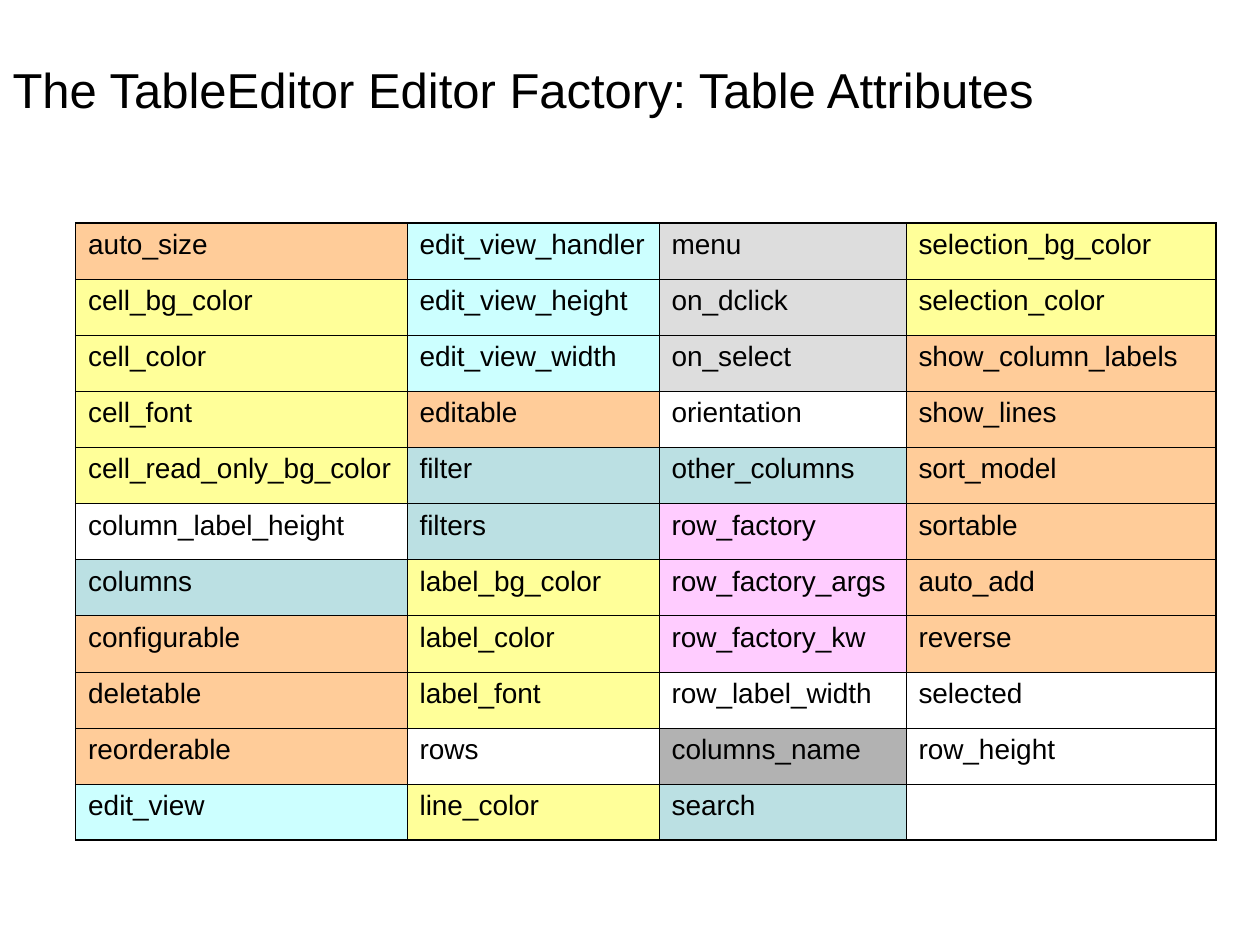
from dataclasses import dataclass

from lxml.etree import SubElement
from pptx import Presentation
from pptx.dml.color import RGBColor as RGB
from pptx.enum.text import MSO_ANCHOR as Anchor, PP_ALIGN as Align
from pptx.oxml.ns import qn
from pptx.util import Inches, Pt


@dataclass(frozen=True)
class Theme:
    font: str = "Arial"
    ink: str = "000000"
    title_size: int = 28
    cell_size: int = 16
    outer_line: float = 1.08
    inner_line: float = 0.45


THEME = Theme()
FLAG, COLOR, VIEW, EVENT = "FFCC99", "FFFF99", "CCFFFF", "DDDDDD"
COLUMN, FACTORY, NAME, WHITE, PLAIN = "BBE0E3", "FFCCFF", "B2B2B2", "FFFFFF", None

# Each column: its width, then runs of attributes that share a fill.
COLUMNS = [
    (2.63, [
        (FLAG, "auto_size"),
        (COLOR, "cell_bg_color cell_color cell_font cell_read_only_bg_color"),
        (PLAIN, "column_label_height"),
        (COLUMN, "columns"),
        (FLAG, "configurable deletable reorderable"),
        (VIEW, "edit_view"),
    ]),
    (2.00, [
        (VIEW, "edit_view_handler edit_view_height edit_view_width"),
        (FLAG, "editable"),
        (COLUMN, "filter filters"),
        (COLOR, "label_bg_color label_color label_font"),
        (WHITE, "rows"),
        (COLOR, "line_color"),
    ]),
    (1.96, [
        (EVENT, "menu on_dclick on_select"),
        (PLAIN, "orientation"),
        (COLUMN, "other_columns"),
        (FACTORY, "row_factory row_factory_args row_factory_kw"),
        (PLAIN, "row_label_width"),
        (NAME, "columns_name"),
        (COLUMN, "search"),
    ]),
    (2.46, [
        (COLOR, "selection_bg_color selection_color"),
        (FLAG, "show_column_labels show_lines sort_model sortable auto_add reverse"),
        (PLAIN, "selected row_height"),
    ]),
]
ROW_COUNT = 11
TABLE_HEIGHT = 4.9


def style_font(para, size):
    para.font.name = THEME.font
    para.font.size = Pt(size)
    para.font.color.rgb = RGB.from_string(THEME.ink)


def draw_borders(cell, outer_sides):
    """Rule all four sides, thicker on those at the table's edge."""
    for side in "LRTB":
        width = THEME.outer_line if side in outer_sides else THEME.inner_line
        line = SubElement(cell._tc.get_or_add_tcPr(), qn(f"a:ln{side}"), w=str(Pt(width)))
        SubElement(SubElement(line, qn("a:solidFill")), qn("a:srgbClr"), val=THEME.ink)


deck = Presentation()
deck.slide_width, deck.slide_height = Inches(10), Inches(7.5)
page = deck.slides.add_slide(deck.slide_layouts.get_by_name("Title Only"))

title = page.shapes.title
title.left, title.top = Inches(0), Inches(0.08)
title.width, title.height = Inches(9), Inches(1.25)
title.text_frame.text = "The TableEditor Editor Factory: Table Attributes"
title.text_frame.vertical_anchor = Anchor.MIDDLE
heading = title.text_frame.paragraphs[0]
heading.alignment = Align.LEFT
style_font(heading, THEME.title_size)

table_width = sum(width for width, _ in COLUMNS)
table = page.shapes.add_table(
    ROW_COUNT, len(COLUMNS), Inches(0.6), Inches(1.77),
    Inches(table_width), Inches(TABLE_HEIGHT),
).table
table.first_row = table.horz_banding = False
for row in table.rows:
    row.height = Inches(TABLE_HEIGHT / ROW_COUNT)

for c, (width, groups) in enumerate(COLUMNS):
    table.columns[c].width = Inches(width)
    entries = [(fill, name) for fill, names in groups for name in names.split()]
    entries += [(PLAIN, "")] * (ROW_COUNT - len(entries))
    for r, (fill, name) in enumerate(entries):
        cell = table.cell(r, c)
        edges = {"L": c == 0, "R": c == len(COLUMNS) - 1,
                 "T": r == 0, "B": r == ROW_COUNT - 1}
        draw_borders(cell, [side for side, outer in edges.items() if outer])
        if fill:
            cell.fill.solid()
            cell.fill.fore_color.rgb = RGB.from_string(fill)
        else:
            cell.fill.background()
        cell.text = name
        style_font(cell.text_frame.paragraphs[0], THEME.cell_size)

deck.save("out.pptx")
